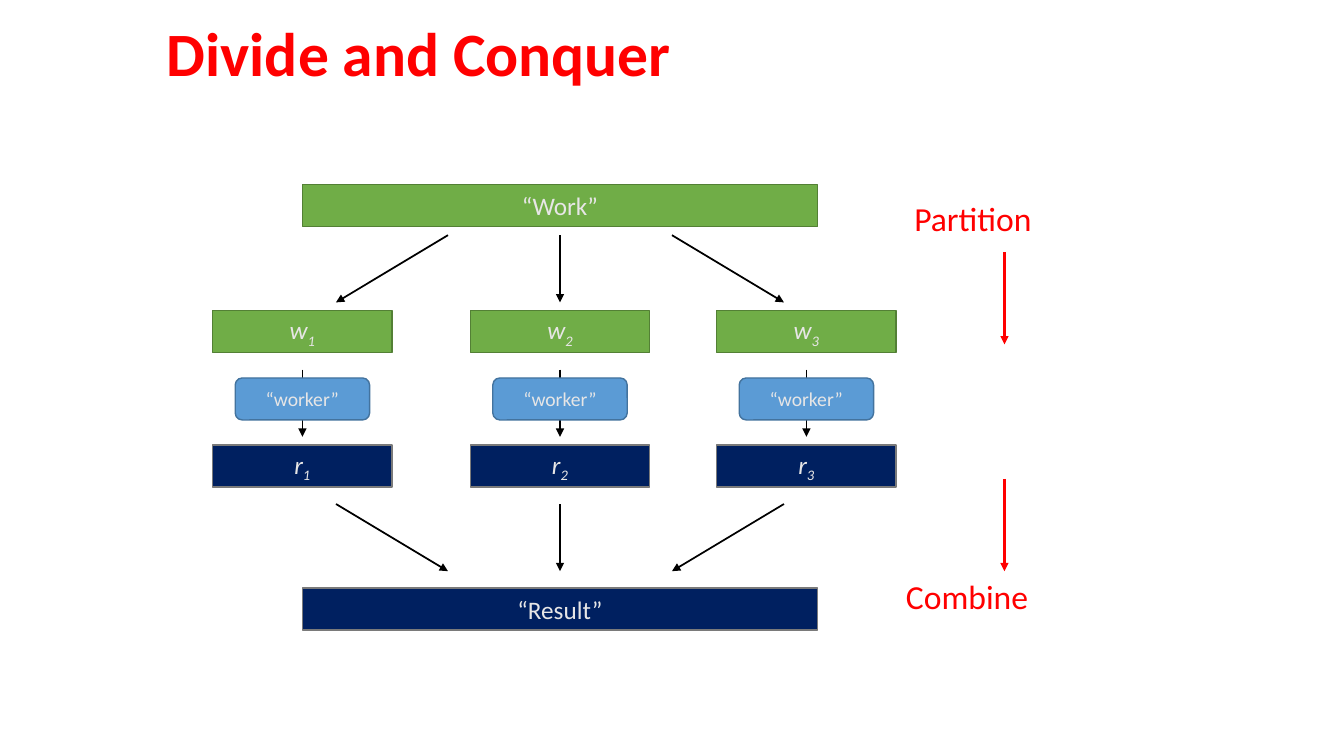
from dataclasses import dataclass

from lxml import etree
from pptx import Presentation
from pptx import util as u
from pptx.dml import color
from pptx.enum import shapes, text
from pptx.oxml import ns

HUES = {
    "red": "FF0000", "black": "000000", "pale": "E7E6E6",
    "green": "70AD47", "moss": "538035",
    "navy": "002060", "gray": "7A7A7A",
    "blue": "5B9BD5", "steel": "43739E",
}
FONT = "Calibri"
MID = 400
COLS = (216, MID, 576)
HIGH = 30


@dataclass(frozen=True)
class Style:
    fill: str
    line: str
    size: float = 18
    form: shapes.MSO_SHAPE = shapes.MSO_SHAPE.RECTANGLE


@dataclass(frozen=True)
class Box:
    mid: float
    top: float
    wide: float
    word: str
    style: Style
    sub: str = ""


@dataclass(frozen=True)
class Arrow:
    x1: float
    y1: float
    x2: float
    y2: float
    hue: str = "black"
    width: float = 1.25


@dataclass(frozen=True)
class Label:
    left: float
    top: float
    wide: float
    word: str


WORK = Style("green", "moss")
DONE = Style("navy", "gray")
CREW = Style("blue", "steel", 14, shapes.MSO_SHAPE.ROUNDED_RECTANGLE)


def rgb(hue: str) -> color.RGBColor:
    return color.RGBColor.from_string(HUES[hue])


def set_font(font, size: float, hue: str) -> None:
    font.name = FONT
    font.size = u.Pt(size)
    font.color.rgb = rgb(hue)


def draw_box(slide, box: Box) -> None:
    style = box.style
    shape = slide.shapes.add_shape(
        style.form, u.Pt(box.mid - box.wide / 2), u.Pt(box.top),
        u.Pt(box.wide), u.Pt(HIGH))
    shape.shadow.inherit = False
    shape.fill.solid()
    shape.fill.fore_color.rgb = rgb(style.fill)
    shape.line.color.rgb = rgb(style.line)
    shape.line.width = u.Pt(1)
    frame = shape.text_frame
    frame.text = box.word
    frame.vertical_anchor = text.MSO_ANCHOR.MIDDLE
    para = frame.paragraphs[0]
    para.alignment = text.PP_ALIGN.CENTER
    if box.sub:
        low = para.add_run()
        low.text = box.sub
        low._r.get_or_add_rPr().set("baseline", "-25000")
    for run in para.runs:
        set_font(run.font, style.size, "pale")
        if box.sub:
            run.font.italic = True


def draw_arrow(slide, arrow: Arrow) -> None:
    link = slide.shapes.add_connector(
        shapes.MSO_CONNECTOR.STRAIGHT, u.Pt(arrow.x1), u.Pt(arrow.y1),
        u.Pt(arrow.x2), u.Pt(arrow.y2))
    link.line.color.rgb = rgb(arrow.hue)
    link.line.width = u.Pt(arrow.width)
    props = link._element.spPr
    tail = etree.SubElement(props.find(ns.qn("a:ln")), ns.qn("a:tailEnd"))
    tail.set("type", "triangle")
    etree.SubElement(props, ns.qn("a:effectLst"))


def draw_label(slide, label: Label) -> None:
    area = slide.shapes.add_textbox(
        u.Pt(label.left), u.Pt(label.top), u.Pt(label.wide), u.Pt(36))
    frame = area.text_frame
    frame.text = label.word
    frame.word_wrap = False
    frame.auto_size = text.MSO_AUTO_SIZE.SHAPE_TO_FIT_TEXT
    set_font(frame.paragraphs[0].runs[0].font, 24, "red")


def draw_title(slide, word: str) -> None:
    title = slide.shapes.title
    title.left, title.top = u.Pt(112), u.Pt(0)
    title.width, title.height = u.Pt(662), u.Pt(81)
    frame = title.text_frame
    frame.text = word
    frame.vertical_anchor = text.MSO_ANCHOR.MIDDLE
    para = frame.paragraphs[0]
    para.alignment = text.PP_ALIGN.LEFT
    para.line_spacing = 0.9
    font = para.runs[0].font
    set_font(font, 44, "red")
    font.bold = True


def main() -> None:
    deck = Presentation()
    deck.slide_width, deck.slide_height = u.Pt(960), u.Pt(540)
    slide = deck.slides.add_slide(deck.slide_layouts[5])
    draw_title(slide, "Divide and Conquer")

    for side in (-1, 0, 1):
        near, far = MID + 80 * side, MID + 160 * side
        draw_arrow(slide, Arrow(near, 168, far, 216))
        draw_arrow(slide, Arrow(far, 360, near, 408))

    draw_box(slide, Box(MID, 132, 368, "“Work”", WORK))
    for num, mid in enumerate(COLS, 1):
        draw_arrow(slide, Arrow(mid, 264, mid, 312))
        draw_box(slide, Box(mid, 222, 128, "w", WORK, str(num)))
        draw_box(slide, Box(mid, 270, 96, "“worker”", CREW))
        draw_box(slide, Box(mid, 318, 128, "r", DONE, str(num)))
    draw_box(slide, Box(MID, 420, 368, "“Result”", DONE))

    draw_label(slide, Label(646, 138, 99, "Partition"))
    draw_label(slide, Label(640, 407.5, 103, "Combine"))
    for top in (180, 342):
        draw_arrow(slide, Arrow(717.5, top, 717.5, top + 66, "red", 1.5))

    deck.save("out.pptx")


if __name__ == "__main__":
    main()
